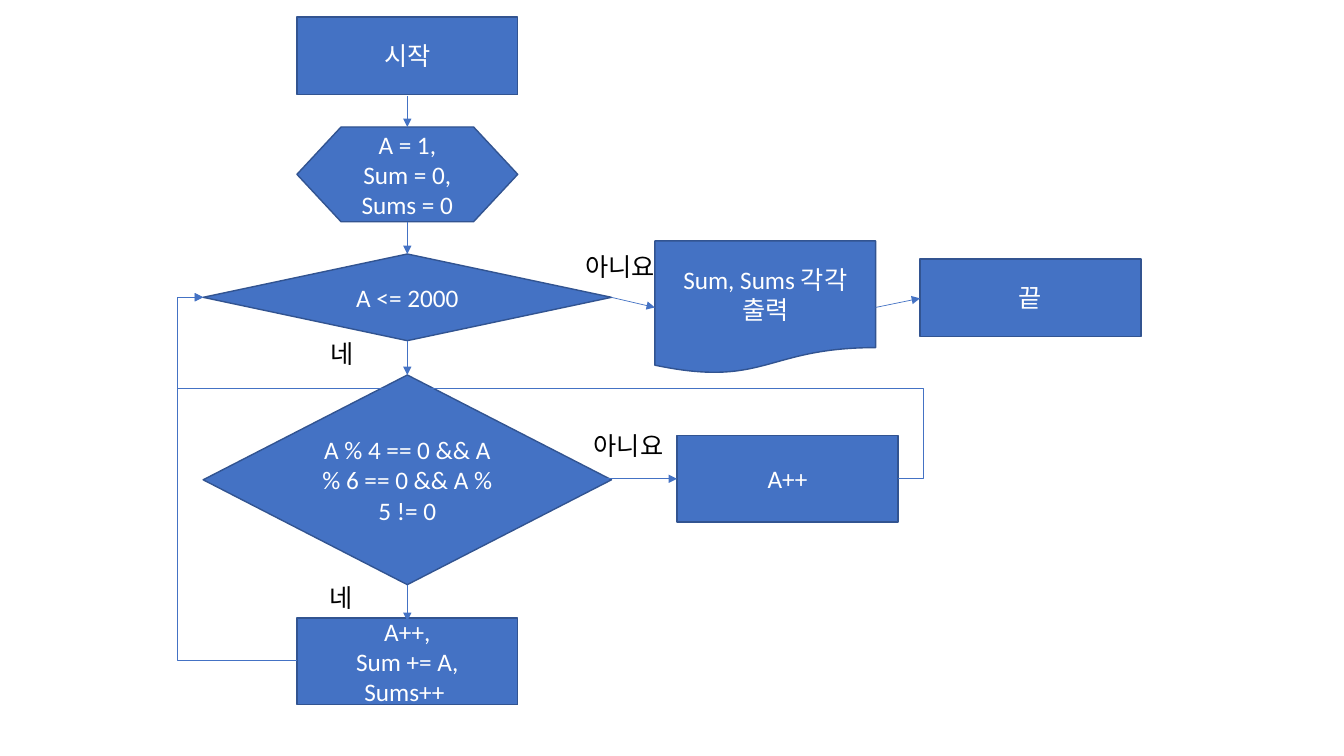
from lxml import etree
from pptx import Presentation
from pptx.dml.color import RGBColor
from pptx.enum.shapes import MSO_CONNECTOR as Route, MSO_SHAPE as Preset
from pptx.enum.text import MSO_ANCHOR as Anchor, MSO_AUTO_SIZE as AutoSize, PP_ALIGN as Align
from pptx.oxml.ns import qn
from pptx.util import Inches, Pt


def color(value):
    """Turn a hex string into a colour."""
    return RGBColor.from_string(value)


def write(frame, text, font="Calibri", size=18, ink="000000", align=Align.LEFT):
    """Fill a text frame, one paragraph per line of text."""
    frame.text = text
    for paragraph in frame.paragraphs:
        paragraph.alignment = align
        for run in paragraph.runs:
            run.font.name = font
            run.font.size = Pt(size)
            run.font.color.rgb = color(ink)


class Flowchart:
    """Hold the flowchart style and the slide it is drawn on."""

    fill, outline, ink = "4472C4", "325491", "FFFFFF"
    box_width, decision_width = 2.19, 4.05

    def __init__(self, slide):
        """Keep the slide to draw on."""
        self.slide = slide

    def node(self, preset, text, center, top, height, width=box_width):
        """Add a flowchart symbol centred on a horizontal position."""
        shape = self.slide.shapes.add_shape(
            preset, Inches(center - width / 2), Inches(top), Inches(width), Inches(height))
        shape.shadow.inherit = False
        shape.fill.solid()
        shape.fill.fore_color.rgb = color(self.fill)
        shape.line.color.rgb = color(self.outline)
        shape.line.width = Pt(1)
        shape.text_frame.word_wrap = True
        shape.text_frame.vertical_anchor = Anchor.MIDDLE
        write(shape.text_frame, text, ink=self.ink, align=Align.CENTER)

    def label(self, text, left, top, width):
        """Add a branch label."""
        shape = self.slide.shapes.add_textbox(
            Inches(left), Inches(top), Inches(width), Inches(0.4))
        shape.text_frame.word_wrap = False
        shape.text_frame.auto_size = AutoSize.SHAPE_TO_FIT_TEXT
        write(shape.text_frame, text)

    def arrow(self, start, end, route=Route.STRAIGHT):
        """Add an arrow between two points."""
        connector = self.slide.shapes.add_connector(
            route, *(Inches(value) for value in (*start, *end)))
        connector.line.color.rgb = color(self.fill)
        connector.line.width = Pt(0.5)
        line = connector.element.spPr.find(qn("a:ln"))
        etree.SubElement(line, qn("a:tailEnd"), type="triangle")
        etree.SubElement(connector.element.spPr, qn("a:effectLst"))
        return connector

    def loop(self, start, end, preset, bends):
        """Add a bent arrow whose bends are fractions of its extent."""
        connector = self.arrow(start, end, Route.ELBOW)
        geometry = connector.element.spPr.find(qn("a:prstGeom"))
        geometry.set("prst", preset)
        guides = geometry.find(qn("a:avLst"))
        if guides is None:
            guides = etree.SubElement(geometry, qn("a:avLst"))
        for number, bend in enumerate(bends, 1):
            etree.SubElement(guides, qn("a:gd"), name=f"adj{number}",
                             fmla=f"val {round(bend * 100000)}")


presentation = Presentation()
presentation.slide_width, presentation.slide_height = Inches(13.33), Inches(7.5)
chart = Flowchart(presentation.slides.add_slide(presentation.slide_layouts[6]))

main = 4.04
half_box = chart.box_width / 2
loop_entry = (main - chart.decision_width / 2, 2.95)
loop_left, loop_right = 1.76, 9.16
skip, output, finish = 7.81, 7.59, 10.22

for preset, text, center, top, height, width in (
    (Preset.FLOWCHART_PROCESS, "시작", main, 0.17, 0.77, chart.box_width),
    (Preset.FLOWCHART_PREPARATION, "A = 1,\nSum = 0,\nSums = 0", main, 1.26, 0.94, chart.box_width),
    (Preset.FLOWCHART_DECISION, "A <= 2000", main, 2.52, 0.86, chart.decision_width),
    (Preset.FLOWCHART_DECISION, "A % 4 == 0 && A % 6 == 0 && A % 5 != 0",
     main, 3.72, 2.08, chart.decision_width),
    (Preset.FLOWCHART_PROCESS, "A++,\nSum += A,\nSums++ ", main, 6.13, 0.86, chart.box_width),
    (Preset.FLOWCHART_DOCUMENT, "Sum, Sums 각각 출력", output, 2.39, 1.32, chart.box_width),
    (Preset.FLOWCHART_PROCESS, "끝", finish, 2.57, 0.77, chart.box_width),
    (Preset.FLOWCHART_PROCESS, "A++", skip, 4.32, 0.86, chart.box_width),
):
    chart.node(preset, text, center, top, height, width)

for start, end in ((0.95, 1.26), (2.2, 2.52), (3.38, 3.72), (5.8, 6.16)):
    chart.arrow((main, start), (main, end))
chart.arrow((main + chart.decision_width / 2, 2.95), (output - half_box, 3.05))
chart.arrow((output + half_box, 3.05), (finish - half_box, 2.96))
chart.arrow((5.99, 4.75), (skip - half_box, 4.75))

for text, left, top, width in (
    ("네", 3.18, 3.31, 0.45), ("네", 3.17, 5.73, 0.45),
    ("아니요", 5.71, 2.44, 0.96), ("아니요", 5.79, 4.22, 0.96),
):
    chart.label(text, left, top, width)

for start, preset, turns in (
    ((main - half_box, 6.55), "bentConnector3", (loop_left,)),
    ((skip + half_box, 4.75), "bentConnector5", (loop_right, None, loop_left)),
):
    span = start[0] - loop_entry[0]
    chart.loop(start, loop_entry, preset,
               [0.5 if turn is None else (start[0] - turn) / span for turn in turns])

presentation.save("out.pptx")
